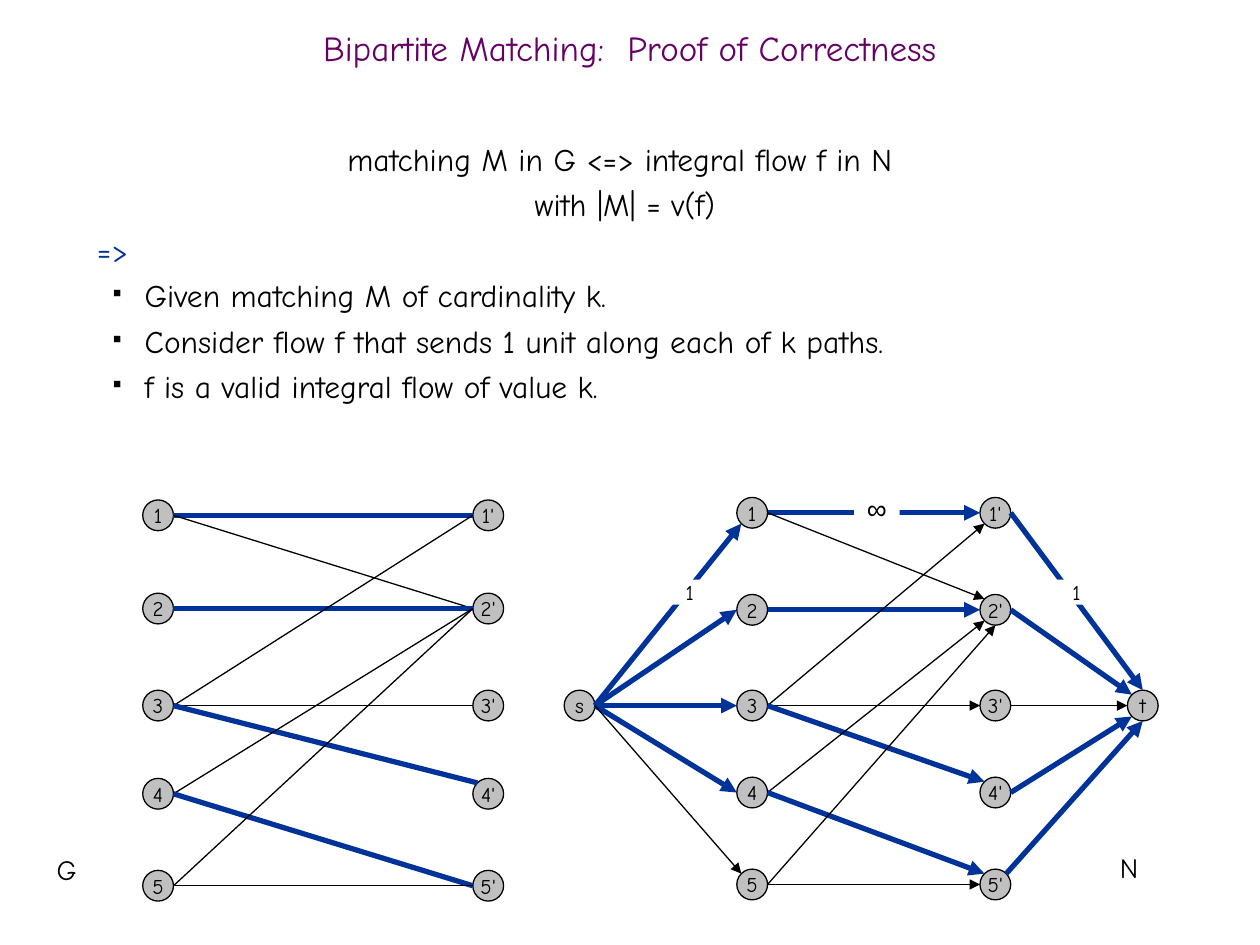
from lxml import etree
from pptx import Presentation
from pptx.dml.color import RGBColor
from pptx.enum.shapes import MSO_CONNECTOR, MSO_SHAPE
from pptx.enum.text import MSO_ANCHOR, MSO_AUTO_SIZE, PP_ALIGN
from pptx.oxml.ns import qn
from pptx.util import Inches, Pt

OVAL, RECT, LINE = MSO_SHAPE.OVAL, MSO_SHAPE.RECTANGLE, MSO_CONNECTOR.STRAIGHT
LEFT, MID = PP_ALIGN.LEFT, PP_ALIGN.CENTER
MIDDLE, FIXED = MSO_ANCHOR.MIDDLE, MSO_AUTO_SIZE.NONE

COLS, ROWS = 100, 75
CELL = Inches(0.1)
SIZE = 2.44
FONT = "Comic Neue"
BLACK, WHITE, GRAY, BLUE, PURPLE = "000000", "FFFFFF", "C0C0C0", "003399", "660066"

DIAG = 0.5 ** 0.5
PORTS = {"n": (0, -1), "s": (0, 1), "e": (1, 0), "w": (-1, 0),
         "nw": (-DIAG, -DIAG), "sw": (-DIAG, DIAG), "ne": (DIAG, -DIAG)}

G_COLS, G_ROWS = (12.55, 38.75), (40.9, 48.3, 56, 63, 70.3)
N_COLS, N_ROWS = (59.7, 79), (40.7, 48.4, 56, 62.9, 70.2)
N_ENDS = {"s": (46, 56), "t": (90.7, 56)}

MATCH = {("1", "1'"), ("2", "2'"), ("3", "4'"), ("4", "5'")}
G_EDGES = ["1 1' w", "1 2' w", "2 2' w", "3 1' w", "3 3' w", "3 4' nw",
           "4 2' w", "4 5' w", "5 2' w", "5 5' w"]
N_EDGES = ["s 1 sw", "s 2 w", "s 3 w", "s 4 w", "s 5 nw",
           "1 1' w", "1 2' nw", "2 2' w", "3 1' sw", "3 3' w", "3 4' nw",
           "4 2' sw", "4 5' nw", "5 2' s", "5 5' w",
           "1' t n", "2' t nw", "3' t w", "4' t sw", "5' t s ne"]
FLOW = MATCH | {("s", a) for a, b in MATCH} | {(b, "t") for a, b in MATCH}


def tint(code):
    return RGBColor.from_string(code)


def cells(*spans):
    return [round(span * CELL) for span in spans]


def mark(para):
    props = para._p.get_or_add_pPr()
    props.set("marL", str(Inches(0.38)))
    props.set("indent", str(Inches(-0.25)))
    color = etree.SubElement(props, qn("a:buClr"))
    etree.SubElement(color, qn("a:srgbClr"), val=BLACK)
    etree.SubElement(props, qn("a:buSzPct"), val="35000")
    etree.SubElement(props, qn("a:buChar"), char="■")


def write(frame, words, size=12, color=BLACK, font=FONT, align=MID, lead=None, dot=False):
    para = frame.paragraphs[0] if not frame.text else frame.add_paragraph()
    if dot:
        para.level = 1
        mark(para)
    para.alignment = align
    if lead:
        para.line_spacing = lead
    run = para.add_run()
    run.text = words
    run.font.name, run.font.size = font, Pt(size)
    run.font.color.rgb = tint(color)


def box(slide, *place):
    frame = slide.shapes.add_textbox(*cells(*place)).text_frame
    frame.word_wrap = True
    return frame


def shape(slide, kind, fill, *place):
    item = slide.shapes.add_shape(kind, *cells(*place))
    item.shadow.inherit = False
    item.fill.solid()
    item.fill.fore_color.rgb = tint(fill)
    return item


def node(slide, name, x, y):
    item = shape(slide, OVAL, GRAY, x - SIZE / 2, y - SIZE / 2, SIZE, SIZE)
    item.line.color.rgb = tint(BLACK)
    item.line.width = Pt(0.75)
    item.text_frame.word_wrap = False
    item.text_frame.vertical_anchor = MIDDLE
    write(item.text_frame, name)


def port(spot, side):
    return [c + d * SIZE / 2 for c, d in zip(spot, PORTS[side])]


def edge(slide, start, end, bold, arrow):
    line = slide.shapes.add_connector(LINE, *cells(*start, *end))
    line.line.color.rgb = tint(BLUE if bold else BLACK)
    line.line.width = Pt(3 if bold else 0.75)
    if arrow:
        etree.SubElement(line.line._get_or_add_ln(), qn("a:tailEnd"), type="triangle")
    etree.SubElement(line._element.spPr, qn("a:effectLst"))


def graph(slide, spots, edges, thick, arrow):
    for name, spot in spots.items():
        node(slide, name, *spot)
    for item in edges:
        head, tail, side, *exit = item.split()
        start = port(spots[head], exit[0] if exit else "e")
        edge(slide, start, port(spots[tail], side), (head, tail) in thick, arrow)


def pairs(cols, rows):
    return {f"{i}{tick}": (x, y) for x, tick in zip(cols, ("", "'"))
            for i, y in enumerate(rows, 1)}


def label(slide, words, place, **form):
    frame = shape(slide, RECT, WHITE, *place)
    frame.line.fill.background()
    frame = frame.text_frame
    frame.margin_left = frame.margin_right = frame.margin_top = frame.margin_bottom = 0
    frame.vertical_anchor = MSO_ANCHOR.TOP
    write(frame, words, **form)


def title(slide, words):
    head = slide.shapes.title
    head.left, head.top, head.width, head.height = cells(0, 1.7, COLS, 5)
    head.text_frame.auto_size = FIXED
    head.text_frame.vertical_anchor = MIDDLE
    write(head.text_frame, words, size=20, color=PURPLE, lead=0.7)


def proof(slide):
    frame = box(slide, 6.7, 10, 85.8, 59.2)
    form = {"size": 18, "lead": Pt(26)}
    write(frame, "matching M in G <=> integral flow f in N ", **form)
    write(frame, "with |M| = v(f)", **form)
    write(frame, "=>", color=BLUE, align=LEFT, **form)
    for words in ("Given matching M of cardinality k.",
                  "Consider flow f that sends 1 unit along each of k paths.",
                  "f is a valid integral flow of value k."):
        write(frame, words, align=LEFT, dot=True, **form)


def main():
    deck = Presentation()
    deck.slide_width, deck.slide_height = cells(COLS, ROWS)
    slide = deck.slides.add_slide(deck.slide_layouts[5])
    title(slide, "Bipartite Matching:  Proof of Correctness")
    proof(slide)
    graph(slide, {**N_ENDS, **pairs(N_COLS, N_ROWS)}, N_EDGES, FLOW, True)
    for x in (52.9, 83.6):
        label(slide, "1", (x, 46, 3.7, 2))
    label(slide, "∞", (67.8, 39, 3.6, 2.7), size=16, font="Arial")
    graph(slide, pairs(G_COLS, G_ROWS), G_EDGES, MATCH, False)
    for name, x, y in (("N", 87.9, 67), ("G", 3.5, 67.2)):
        write(box(slide, x, y, 6.1, 3.7), name, size=16, align=LEFT)
    deck.save("out.pptx")


if __name__ == "__main__":
    main()
